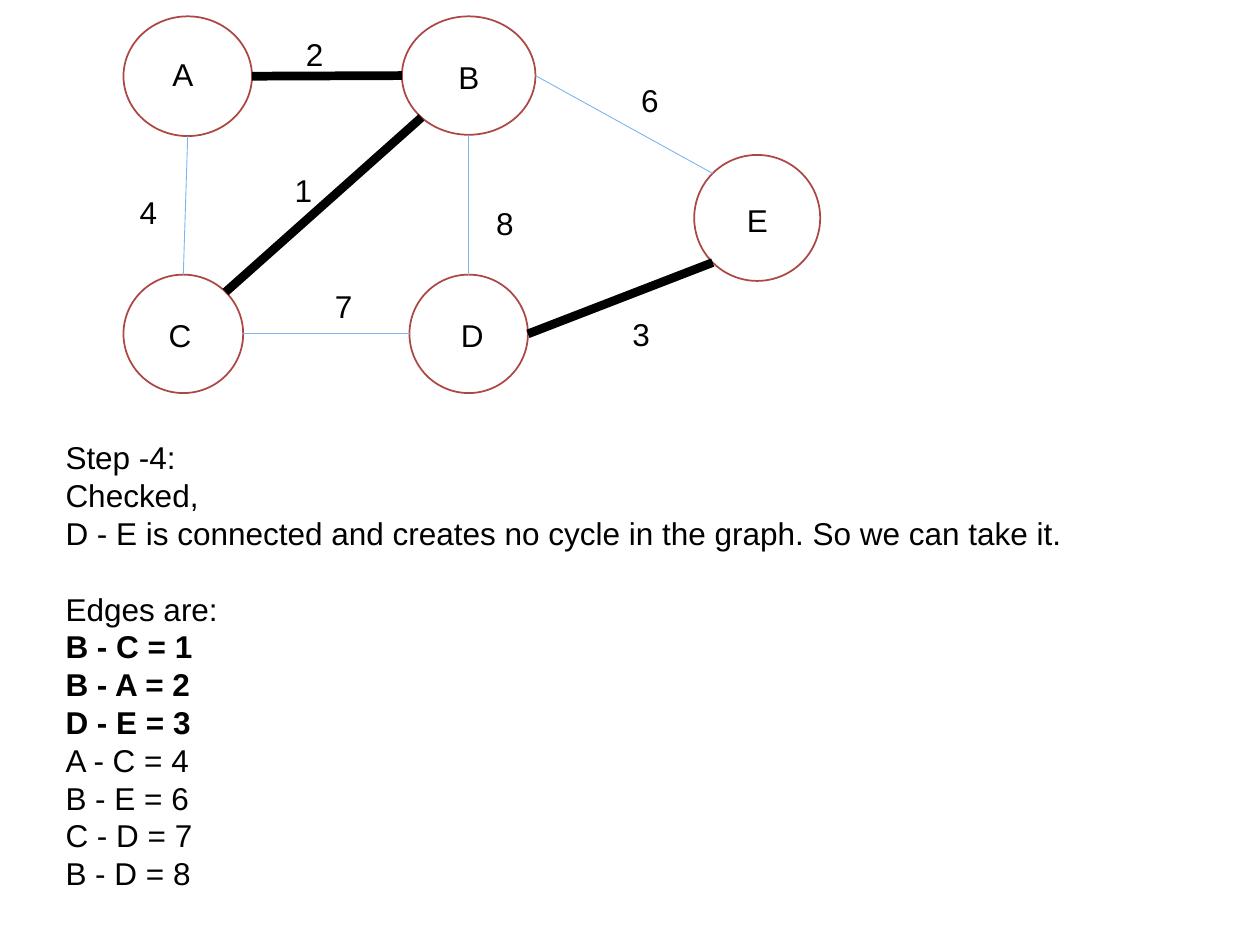
from dataclasses import dataclass
from math import cos, radians, sin

from lxml import etree
from pptx import Presentation
from pptx.dml.color import RGBColor
from pptx.enum.shapes import MSO_CONNECTOR, MSO_SHAPE
from pptx.enum.text import MSO_ANCHOR, MSO_AUTO_SIZE, PP_ALIGN
from pptx.oxml.ns import qn
from pptx.util import Inches, Pt

ELLIPSE = MSO_SHAPE.OVAL
STRAIGHT = MSO_CONNECTOR.STRAIGHT
TOP = MSO_ANCHOR.TOP
NO_AUTOSIZE = MSO_AUTO_SIZE.NONE
LEFT = PP_ALIGN.LEFT

COLORS = {"text": "000000", "node_fill": "FFFFFF", "node_line": "AC4744",
          "taken": "000000", "open": "7DB6EF"}
FONT_FORMAT = {"name": "Arial", "size": Pt(18)}
PARAGRAPH_FORMAT = {"alignment": LEFT, "line_spacing": Pt(21.6),
                    "space_before": Pt(0), "space_after": Pt(0)}
LABEL_HEIGHT = 0.4

# Clockwise angles of the points where edges meet a node
EAST, SOUTHEAST, SOUTH, SOUTHWEST = 0, 45, 90, 135
WEST, NORTHWEST, NORTH, NORTHEAST = 180, 225, 270, 315


@dataclass(frozen=True)
class Node:
    left: float
    top: float
    width: float
    height: float
    label_left: float
    label_top: float
    label_width: float = 0.36
    filled: bool = True

    def point(self, angle: int) -> tuple[float, float]:
        """Return the point of the outline at a clockwise angle."""
        turn = radians(angle)
        return (self.left + self.width / 2 * (1 + cos(turn)),
                self.top + self.height / 2 * (1 + sin(turn)))


@dataclass(frozen=True)
class Edge:
    start: str
    start_angle: int
    end: str
    end_angle: int
    weight: int
    label_left: float
    label_top: float
    taken: bool = False


NODES = {
    "A": Node(0.98, 0.13, 1.02, 0.95, 1.27, 0.39),
    "B": Node(3.19, 0.13, 1.06, 0.94, 3.54, 0.41),
    "C": Node(0.98, 2.18, 0.95, 0.94, 1.24, 2.46, 0.38, filled=False),
    "D": Node(3.25, 2.18, 0.94, 0.94, 3.56, 2.46, 0.38),
    "E": Node(5.51, 1.23, 1, 1, 5.83, 1.55),
}
EDGES = [
    Edge("B", SOUTHWEST, "C", NORTHEAST, 1, 2.24, 1.31, taken=True),
    Edge("B", WEST, "A", EAST, 2, 2.33, 0.23, taken=True),
    Edge("D", EAST, "E", SOUTHWEST, 3, 4.92, 2.45, taken=True),
    Edge("A", SOUTH, "C", NORTH, 4, 1.01, 1.48),
    Edge("B", EAST, "E", NORTHWEST, 6, 4.99, 0.59),
    Edge("C", EAST, "D", WEST, 7, 2.56, 2.23),
    Edge("B", SOUTH, "D", NORTH, 8, 3.84, 1.57),
]
STEP_LINES = [
    "Step -4:",
    "Checked,",
    "D - E is connected and creates no cycle in the graph. So we can take it.",
]


def color(name: str) -> RGBColor:
    return RGBColor.from_string(COLORS[name])


def set_attributes(target, values: dict) -> None:
    for name, value in values.items():
        setattr(target, name, value)


def write_paragraph(para, text: str, bold: bool = False) -> None:
    set_attributes(para, PARAGRAPH_FORMAT)
    span = para.add_run()
    span.text = text
    set_attributes(span.font, FONT_FORMAT | {"bold": bold})
    span.font.color.rgb = color("text")


def draw_node(page, node: Node) -> None:
    circle = page.shapes.add_shape(
        ELLIPSE, *map(Inches, (node.left, node.top, node.width, node.height)))
    circle.shadow.inherit = False
    if node.filled:
        circle.fill.solid()
        circle.fill.fore_color.rgb = color("node_fill")
    else:
        circle.fill.background()
    circle.line.color.rgb = color("node_line")
    circle.line.width = Pt(1)


def draw_edge(page, edge: Edge) -> None:
    start = NODES[edge.start].point(edge.start_angle)
    end = NODES[edge.end].point(edge.end_angle)
    line = page.shapes.add_connector(STRAIGHT, *map(Inches, start + end))
    line.line.color.rgb = color("taken" if edge.taken else "open")
    line.line.width = Pt(5 if edge.taken else 0.5)
    etree.SubElement(line._element.spPr, qn("a:effectLst"))


def draw_label(page, text: str, left: float, top: float, width: float) -> None:
    box = page.shapes.add_textbox(*map(Inches, (left, top, width, LABEL_HEIGHT)))
    box.text_frame.word_wrap = False
    write_paragraph(box.text_frame.paragraphs[0], text)


def write_steps(box) -> None:
    set_attributes(box, {"left": Inches(0.42), "top": Inches(3.43),
                         "width": Inches(9), "height": Inches(3.7)})
    frame = box.text_frame
    set_attributes(frame, {"word_wrap": True, "vertical_anchor": TOP,
                           "auto_size": NO_AUTOSIZE})
    heading = "Edges are:"
    lines = [(text, False) for text in STEP_LINES + [heading]]
    lines += [(f"{edge.start} - {edge.end} = {edge.weight}", edge.taken)
              for edge in EDGES]
    for index, (text, bold) in enumerate(lines):
        para = frame.add_paragraph() if index else frame.paragraphs[0]
        write_paragraph(para, text, bold)
        if text == heading:
            para.space_before = PARAGRAPH_FORMAT["line_spacing"]
        # Plain lines without bullets or hanging indent
        properties = para._p.get_or_add_pPr()
        properties.set("marL", "0")
        properties.set("indent", "0")
        etree.SubElement(properties, qn("a:buNone"))


def main() -> None:
    deck = Presentation()
    deck.slide_width, deck.slide_height = Inches(10), Inches(7.5)
    page = deck.slides.add_slide(deck.slide_layouts[1])
    title = page.shapes.title
    title._element.getparent().remove(title._element)

    # Graph
    for node in NODES.values():
        draw_node(page, node)
    for edge in EDGES:
        draw_edge(page, edge)

    # Node names and edge weights
    for name, node in NODES.items():
        draw_label(page, name, node.label_left, node.label_top, node.label_width)
    for edge in EDGES:
        draw_label(page, str(edge.weight), edge.label_left, edge.label_top, 0.34)

    # Explanation
    write_steps(page.placeholders[1])
    deck.save("out.pptx")


if __name__ == "__main__":
    main()
